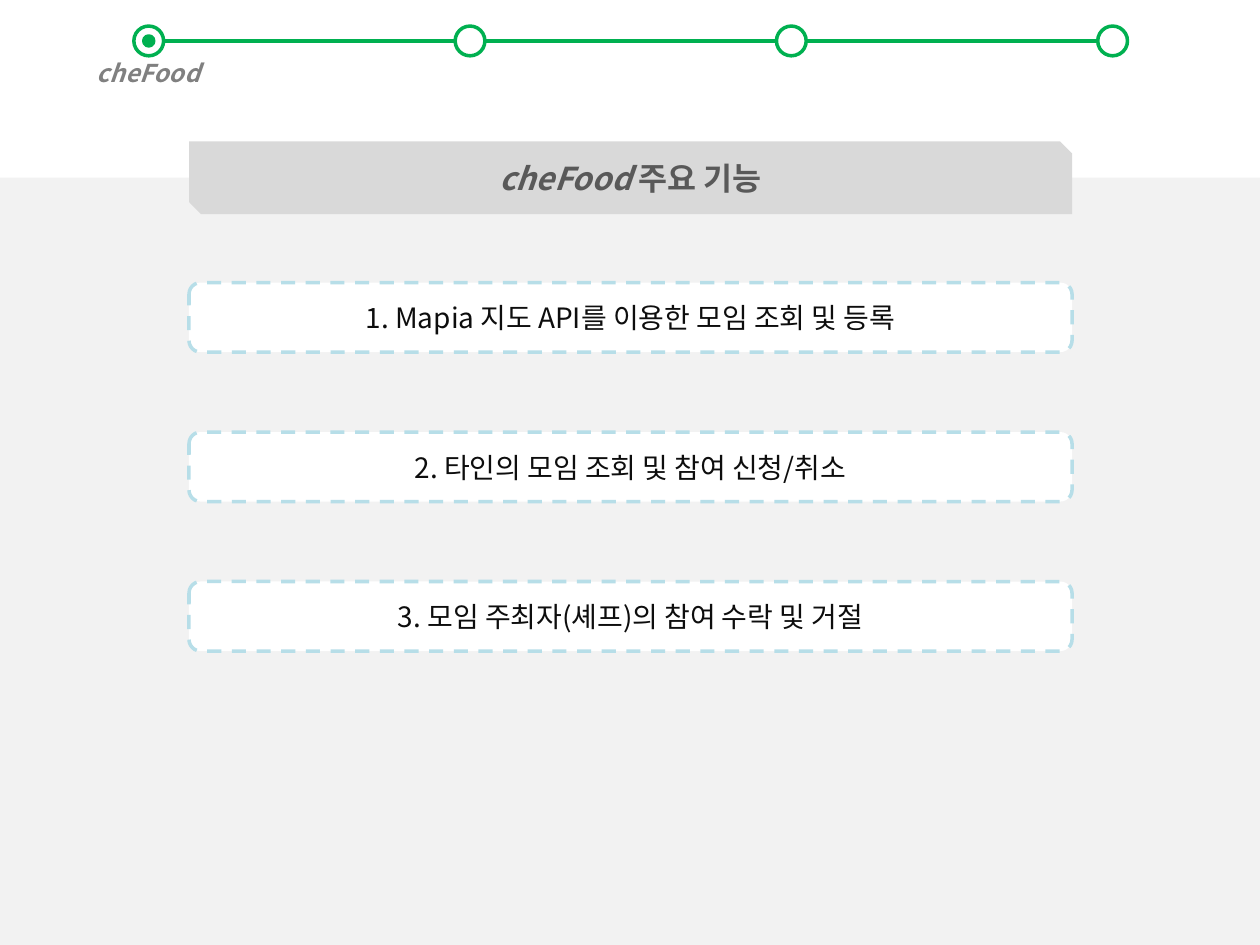
import pptx
import pptx.dml.color
import pptx.enum.dml
import pptx.enum.shapes
import pptx.enum.text
import pptx.oxml
import pptx.oxml.ns
import pptx.util
from lxml import etree

Pt = pptx.util.Pt
SHAPES = pptx.enum.shapes.MSO_SHAPE


class FeatureSlide:
    """Style and current slide, with one method per kind of element."""

    font_name = "Noto Sans CJK KR"
    line_width = 2
    colors = {
        "white": "FFFFFF",
        "panel": "F2F2F2",
        "progress": "00B050",
        "label": "808080",
        "banner": "D9D9D9",
        "heading": "595959",
        "border": "B7DEE8",
        "body": "0D0D0D",
    }

    def __init__(self, slide):
        self.slide = slide

    def color(self, name):
        return pptx.dml.color.RGBColor.from_string(self.colors[name])

    def outline(self, line, color, dash=None):
        line.color.rgb = self.color(color)
        line.width = Pt(self.line_width)
        if dash:
            line.dash_style = dash

    def shape(self, preset, box, fill, border=None, dash=None):
        figure = self.slide.shapes.add_shape(preset, *map(Pt, box))
        figure.shadow.inherit = False
        figure.fill.solid()
        figure.fill.fore_color.rgb = self.color(fill)
        if border:
            self.outline(figure.line, border, dash)
        else:
            figure.line.fill.background()
        return figure

    def circle(self, center_x, center_y, diameter, fill):
        radius = diameter / 2
        box = (center_x - radius, center_y - radius, diameter, diameter)
        self.shape(SHAPES.OVAL, box, fill, "progress")

    def connector(self, start, end, color):
        track = self.slide.shapes.add_connector(
            pptx.enum.shapes.MSO_CONNECTOR.STRAIGHT, *map(Pt, start + end))
        self.outline(track.line, color)
        etree.SubElement(track._element.spPr, pptx.oxml.ns.qn("a:effectLst"))

    def centered_text(self, holder, runs, color, **formats):
        frame = holder.text_frame
        frame.word_wrap = True
        frame.vertical_anchor = pptx.enum.text.MSO_ANCHOR.MIDDLE
        paragraph = frame.paragraphs[0]
        paragraph.alignment = pptx.enum.text.PP_ALIGN.CENTER
        for text, extra in runs:
            run = paragraph.add_run()
            run.text = text
            run.font.color.rgb = self.color(color)
            values = {"name": self.font_name, **formats, **extra}
            for attribute, value in values.items():
                setattr(run.font, attribute, value)
            east_asian = etree.SubElement(run.font._element, pptx.oxml.ns.qn("a:ea"))
            east_asian.set("typeface", self.font_name)

    def label(self, box, text, color, **formats):
        holder = self.slide.shapes.add_textbox(*map(Pt, box))
        self.centered_text(holder, [(text, {})], color, **formats)
        holder.text_frame.auto_size = pptx.enum.text.MSO_AUTO_SIZE.SHAPE_TO_FIT_TEXT

    def banner(self, box, runs):
        holder = self.shape(SHAPES.SNIP_2_DIAG_RECTANGLE, box, "banner")
        self.centered_text(holder, runs, "heading", size=Pt(18), bold=True)

    def feature(self, box, text):
        holder = self.shape(SHAPES.ROUNDED_RECTANGLE, box, "white", "border",
                            pptx.enum.dml.MSO_LINE.DASH)
        self.centered_text(holder, [(text, {})], "body", size=Pt(16))


def main():
    deck = pptx.Presentation()
    deck.slide_width, deck.slide_height = Pt(720), Pt(540)
    page = FeatureSlide(deck.slides.add_slide(deck.slide_layouts[6]))

    page.shape(SHAPES.RECTANGLE, (0, 101.6, 720, 438.4), "panel")

    step_y, step_size = 23.4, 17
    steps = [85 + 183.6 * index for index in range(4)]
    page.connector((steps[0] + step_size / 2, step_y),
                   (steps[-1] - step_size / 2, step_y), "progress")
    for step_x in steps:
        page.circle(step_x, step_y, step_size, "white")
    page.label((25.2, 29.5, 119, 24.5), "cheFood", "label",
               size=Pt(14), bold=True, italic=True)
    page.circle(steps[0], step_y, 5.7, "progress")

    left, width = 108, 504.6
    page.banner((left, 80.8, width, 41.6),
                [("cheFood ", {"italic": True}), ("주요 기능", {"italic": False})])
    features = [
        "1. Mapia 지도 API를 이용한 모임 조회 및 등록",
        "2. 타인의 모임 조회 및 참여 신청/취소",
        "3. 모임 주최자(셰프)의 참여 수락 및 거절",
    ]
    for index, text in enumerate(features):
        page.feature((left, 161.5 + 85.4 * index, width, 39.7), text)

    deck.save("out.pptx")


if __name__ == "__main__":
    main()
